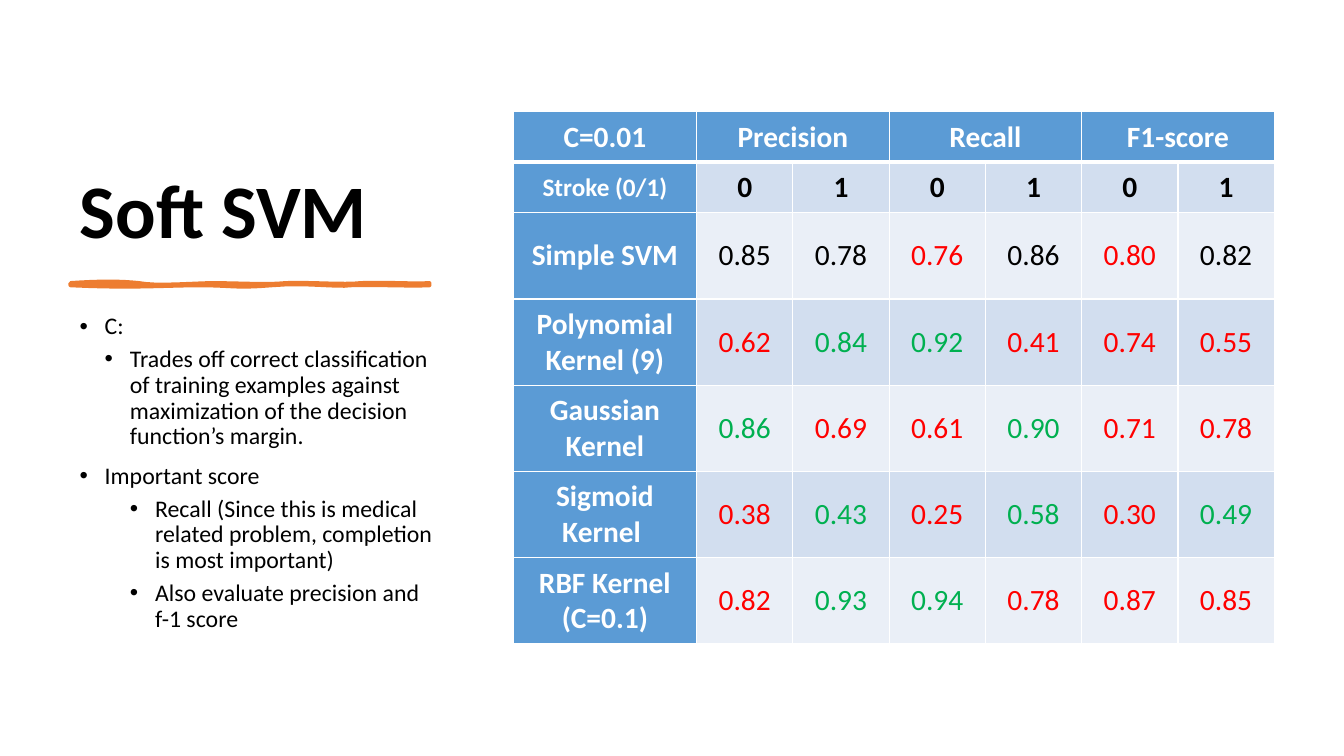
from dataclasses import dataclass

from lxml.etree import SubElement
from pptx import Presentation
from pptx.dml.color import RGBColor
from pptx.enum.text import MSO_ANCHOR, MSO_AUTO_SIZE, PP_ALIGN
from pptx.oxml.ns import qn
from pptx.util import Inches, Pt

SLIDE_WIDTH, SLIDE_HEIGHT = Inches(13.33), Inches(7.5)


@dataclass(frozen=True)
class Theme:
    font: str = "Calibri"
    black: str = "000000"
    white: str = "FFFFFF"
    worse: str = "FF0000"
    better: str = "00B050"
    accent: str = "ED7D31"
    header: str = "5B9BD5"
    bands: tuple = ("D2DEEF", "EAEFF7")
    title_size: int = 54
    body_size: int = 17
    table_size: int = 21
    small_size: int = 18


THEME = Theme()

# Left, top, width and height as percentages of the slide
TITLE_AREA = (5.18, 9.33, 28.13, 25.07)
UNDERLINE_AREA = (5.25, 37.2, 26.7, 0.93)
NOTES_AREA = (5.18, 40.93, 28.13, 49.73)
TABLE_AREA = (38.18, 14.8, 56.64, 70.4)

# Text, outline level, indent in inches, space before in points
NOTES = [
    ("C:", 0, 0.25, 10),
    ("Trades off correct classification of training examples against "
     "maximization of the decision function’s margin.", 1, 0.5, 5),
    ("Important score", 0, 0.25, 10),
    ("Recall (Since this is medical related problem, completion is most "
     "important)", 1, 0.75, 5),
    ("Also evaluate precision and f-1 score", 1, 0.75, 5),
]

METRICS = ["Precision", "Recall", "F1-score"]
# "+" marks a better score, "-" a worse one
SCORES = {
    "Simple SVM": "0.85 0.78 0.76- 0.86 0.80- 0.82",
    "Polynomial Kernel (9)": "0.62- 0.84+ 0.92+ 0.41- 0.74- 0.55-",
    "Gaussian Kernel": "0.86+ 0.69- 0.61- 0.90+ 0.71- 0.78-",
    "Sigmoid Kernel ": "0.38- 0.43+ 0.25- 0.58+ 0.30- 0.49+",
    "RBF Kernel (C=0.1)": "0.82- 0.93+ 0.94+ 0.78- 0.87- 0.85-",
}
SCORE_COLORS = {"+": THEME.better, "-": THEME.worse}

# Chained cubic curves: x in hundredths of the width, y in sevenths of the height
BRUSH_TOP = [(0, 2), (8, 0), (14, 0), (19, 2), (24, 5), (30, 3), (39, 2),
             (48, 2), (54, 4), (60, 2), (67, 1), (76, 4), (81, 2),
             (87, 1), (96, 3), (100, 2)]
BRUSH_BOTTOM = [(100, 4), (95, 5), (83, 3), (78, 4), (74, 6), (66, 1), (56, 4),
                (46, 7), (45, 4), (36, 4), (27, 4), (17, 7), (0, 4)]


def area_lengths(area):
    """Turn percentages of the slide into lengths."""
    sides = (SLIDE_WIDTH, SLIDE_HEIGHT) * 2
    return [round(side * share / 100) for side, share in zip(sides, area)]


def add_run(paragraph, text, size, color=THEME.black, bold=False):
    run = paragraph.add_run()
    run.text = text
    run.font.name = THEME.font
    run.font.size = Pt(size)
    run.font.bold = bold
    run.font.color.rgb = RGBColor.from_string(color)


def place_title(slide, text):
    title = slide.shapes.title
    title.left, title.top, title.width, title.height = area_lengths(TITLE_AREA)
    frame = title.text_frame
    frame.auto_size = MSO_AUTO_SIZE.NONE
    frame.vertical_anchor = MSO_ANCHOR.BOTTOM
    paragraph = frame.paragraphs[0]
    paragraph.alignment = PP_ALIGN.LEFT
    paragraph.line_spacing = 0.9
    add_run(paragraph, text, THEME.title_size, bold=True)


def curve_points(controls, steps=8):
    """Sample chained cubic curves, each starting where the last one ends."""
    points = [controls[0]]
    for first in range(0, len(controls) - 1, 3):
        segment = controls[first:first + 4]
        for step in range(1, steps + 1):
            t = step / steps
            weights = ((1 - t) ** 3, 3 * t * (1 - t) ** 2, 3 * t * t * (1 - t), t ** 3)
            points.append(tuple(sum(weight * value for weight, value in zip(weights, axis))
                                for axis in zip(*segment)))
    return points


def add_brush_underline(slide):
    left, top, width, height = area_lengths(UNDERLINE_AREA)
    points = [(round(left + width * x / 100), round(top + height * y / 7))
              for x, y in curve_points(BRUSH_TOP) + curve_points(BRUSH_BOTTOM)]
    builder = slide.shapes.build_freeform(*points[0])
    builder.add_line_segments(points[1:], close=True)
    underline = builder.convert_to_shape()
    underline.shadow.inherit = False
    for fill in (underline.fill, underline.line.fill):
        fill.solid()
        fill.fore_color.rgb = RGBColor.from_string(THEME.accent)
    underline.line.width = Pt(3)
    SubElement(underline.line.fill._xPr, qn("a:round"))


def add_bullet(paragraph, indent):
    properties = paragraph._p.get_or_add_pPr()
    properties.set("marL", str(Inches(indent)))
    properties.set("indent", str(-Inches(0.25)))
    SubElement(properties, qn("a:buFont"), typeface="Arial")
    SubElement(properties, qn("a:buChar"), char="•")


def add_notes(slide):
    frame = slide.shapes.add_textbox(*area_lengths(NOTES_AREA)).text_frame
    frame.word_wrap = True
    for index, (text, level, indent, space) in enumerate(NOTES):
        paragraph = frame.add_paragraph() if index else frame.paragraphs[0]
        paragraph.level = level
        paragraph.line_spacing = 0.9
        paragraph.space_before = Pt(space)
        add_bullet(paragraph, indent)
        add_run(paragraph, text, THEME.body_size)


def set_borders(cell, widths):
    properties = cell._tc.get_or_add_tcPr()
    for side, width in zip(("lnL", "lnR", "lnT", "lnB"), widths):
        line = SubElement(properties, qn(f"a:{side}"), w=str(Pt(width)))
        SubElement(SubElement(line, qn("a:solidFill")), qn("a:srgbClr"), val=THEME.white)


def format_cell(cell, row, column):
    set_borders(cell, (1, 1, 3 if row == 1 else 1, 3 if row == 0 else 1))
    heading = row == 0 or column == 0
    cell.fill.solid()
    cell.fill.fore_color.rgb = RGBColor.from_string(
        THEME.header if heading else THEME.bands[(row - 1) % 2])
    cell.vertical_anchor = MSO_ANCHOR.MIDDLE
    cell.margin_left = cell.margin_right = Inches(0.12)
    cell.margin_top = cell.margin_bottom = Inches(0.06)


def fill_cell(cell, text, row, column):
    paragraph = cell.text_frame.paragraphs[0]
    paragraph.alignment = PP_ALIGN.CENTER
    heading = row == 0 or column == 0
    color = THEME.white if heading else SCORE_COLORS.get(text[-1:], THEME.black)
    size = THEME.small_size if (row, column) == (1, 0) else THEME.table_size
    add_run(paragraph, text.rstrip("+-"), size, color, bold=heading or row == 1)


def add_score_table(slide):
    header = ["C=0.01"] + [text for metric in METRICS for text in (metric, "")]
    classes = ["Stroke (0/1)"] + ["0", "1"] * len(METRICS)
    rows = [header, classes] + [[name] + scores.split() for name, scores in SCORES.items()]
    left, top, width, height = area_lengths(TABLE_AREA)
    table = slide.shapes.add_table(len(rows), len(header), left, top, width, height).table

    label_width, heading_height = Inches(1.82), Inches(0.5)
    score_width = (width - label_width) // (len(header) - 1)
    score_height = (height - 2 * heading_height) // len(SCORES)
    for index, column in enumerate(table.columns):
        column.width = score_width if index else label_width
    for index, row in enumerate(table.rows):
        row.height = heading_height if index < 2 else score_height

    for row, texts in enumerate(rows):
        for column, text in enumerate(texts):
            cell = table.cell(row, column)
            format_cell(cell, row, column)
            if text:
                fill_cell(cell, text, row, column)
    for column in range(1, len(header), 2):
        table.cell(0, column).merge(table.cell(0, column + 1))


def main():
    presentation = Presentation()
    presentation.slide_width, presentation.slide_height = SLIDE_WIDTH, SLIDE_HEIGHT
    slide = presentation.slides.add_slide(presentation.slide_layouts[5])
    place_title(slide, "Soft SVM")
    add_brush_underline(slide)
    add_notes(slide)
    add_score_table(slide)
    presentation.save("out.pptx")


if __name__ == "__main__":
    main()
